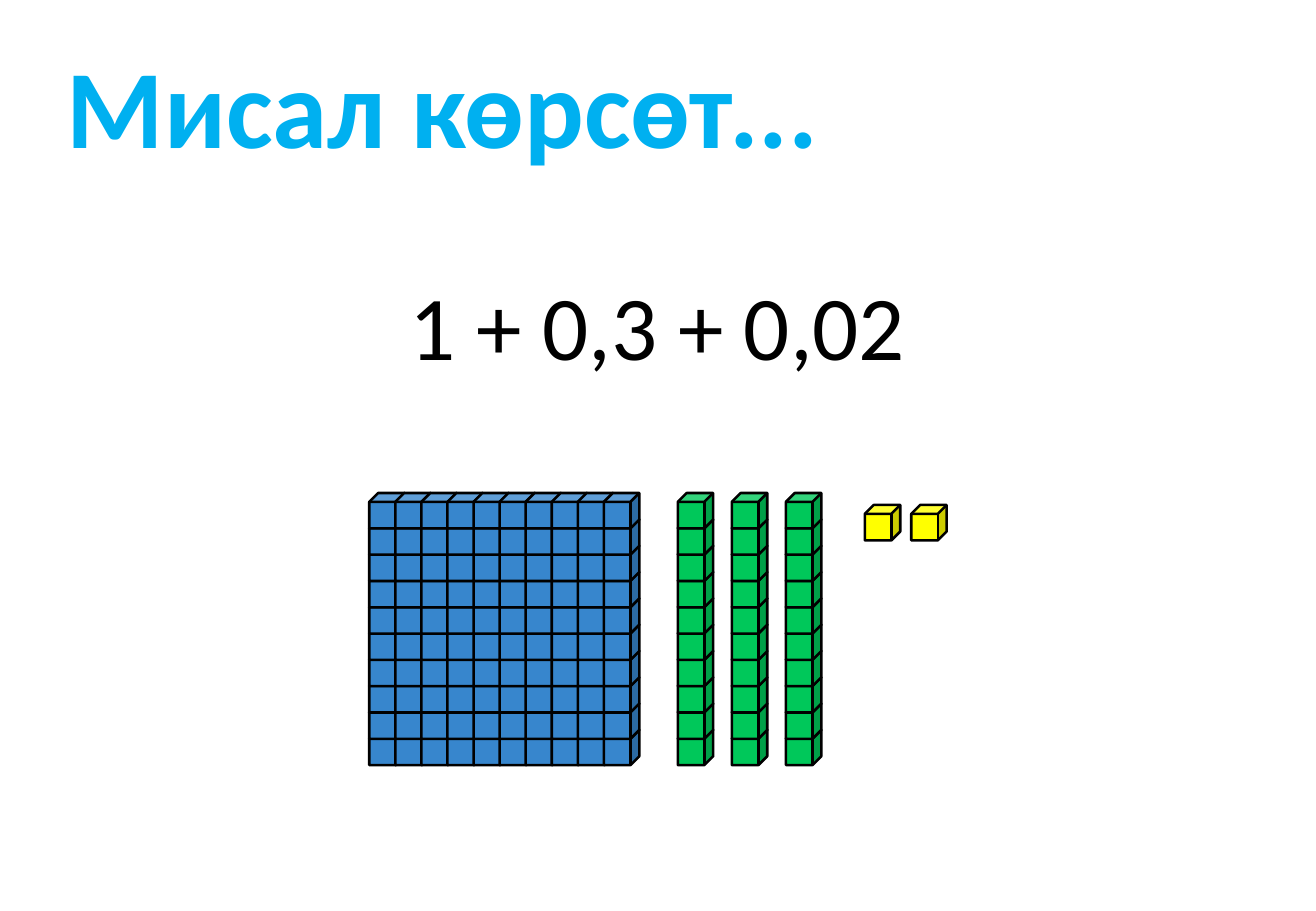
import pptx
import pptx.dml.color
import pptx.enum.shapes
import pptx.enum.text
import pptx.util

Cm = pptx.util.Cm
CUBE_SIZE = 0.74
COLUMN_STEP, ROW_STEP = 0.545, 0.55
CUBES_PER_ROD = 10


def color(hex_text):
    return pptx.dml.color.RGBColor.from_string(hex_text)


def write_text(shape, text, size, hex_color, bold=False, align="LEFT", wrap=True, left_margin=0.25):
    frame = shape.text_frame
    frame.word_wrap = wrap
    frame.auto_size = pptx.enum.text.MSO_AUTO_SIZE.NONE
    frame.vertical_anchor = pptx.enum.text.MSO_ANCHOR.TOP
    frame.margin_left = Cm(left_margin)
    paragraph = frame.paragraphs[0]
    paragraph.text = text
    paragraph.alignment = getattr(pptx.enum.text.PP_ALIGN, align)
    font = paragraph.font
    font.name, font.size, font.bold = "Calibri", pptx.util.Pt(size), bold
    font.color.rgb = color(hex_color)


def add_title(slide, left, top, width, height):
    title = slide.shapes.title
    title.left, title.top, title.width, title.height = Cm(left), Cm(top), Cm(width), Cm(height)
    write_text(title, "Мисал көрсөт...", 66, "00B0F0", bold=True, left_margin=0.79)


def add_sum(slide, left, top, width, height):
    box = slide.shapes.add_textbox(Cm(left), Cm(top), Cm(width), Cm(height))
    write_text(box, "1 + 0,3 + 0,02", 54, "000000", align="CENTER", wrap=False)


def add_cubes(slide, left, top, hex_color, columns, rows, column_step):
    """Group of cubes, stacked from the bottom up, column by column."""
    group = slide.shapes.add_group_shape()
    for column in range(columns):
        for row in reversed(range(rows)):
            cube = group.shapes.add_shape(
                pptx.enum.shapes.MSO_SHAPE.CUBE,
                Cm(left + column * column_step), Cm(top + row * ROW_STEP),
                Cm(CUBE_SIZE), Cm(CUBE_SIZE))
            cube.shadow.inherit = False
            cube.fill.solid()
            cube.fill.fore_color.rgb = color(hex_color)
            cube.line.color.rgb = color("000000")
            cube.line.width = pptx.util.Pt(1.5)


def add_blocks(slide, left, top):
    # One whole
    add_cubes(slide, left, top, "3786CD", 10, CUBES_PER_ROD, COLUMN_STEP)
    # Three tenths
    add_cubes(slide, left + 6.45, top, "00C85A", 3, CUBES_PER_ROD, 1.13)
    # Two hundredths
    add_cubes(slide, left + 10.36, top + 0.25, "FFFF00", 2, 1, 0.97)


def main():
    presentation = pptx.Presentation()
    presentation.slide_width, presentation.slide_height = Cm(27.51), Cm(19.05)
    slide = presentation.slides.add_slide(presentation.slide_layouts[5])
    add_sum(slide, 8.25, 5.51, 11, 2.57)
    add_blocks(slide, 7.72, 10.31)
    add_title(slide, 0.61, 0.66, 19.15, 3.07)
    presentation.save("out.pptx")


if __name__ == "__main__":
    main()
